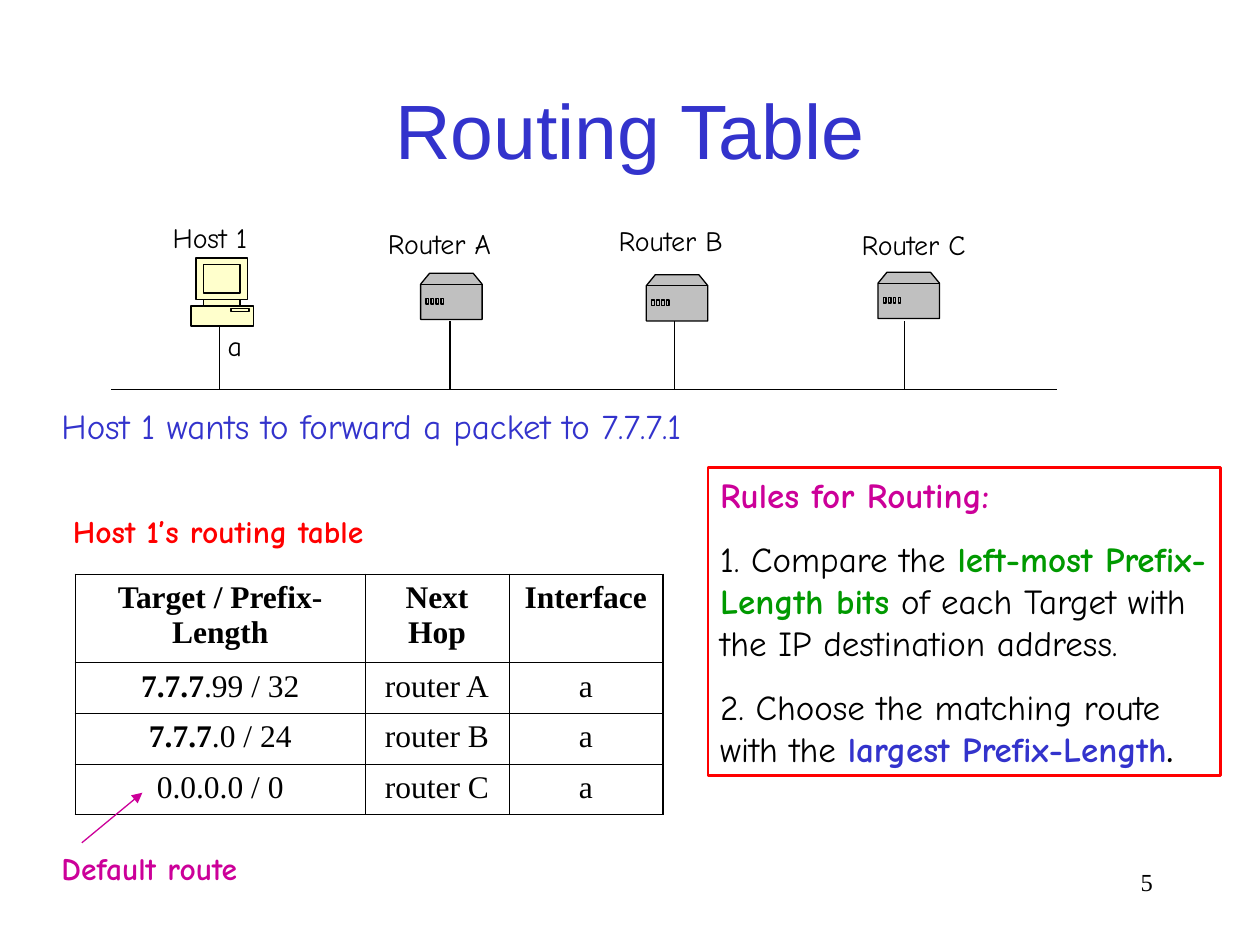
from lxml import etree
from pptx import Presentation
from pptx.dml.color import RGBColor
from pptx.enum.shapes import MSO_CONNECTOR, MSO_SHAPE
from pptx.enum.text import MSO_ANCHOR, PP_ALIGN
from pptx.oxml.ns import qn
from pptx.util import Cm, Pt

STRAIGHT = MSO_CONNECTOR.STRAIGHT
RECTANGLE = MSO_SHAPE.RECTANGLE
TOP, MIDDLE = MSO_ANCHOR.TOP, MSO_ANCHOR.MIDDLE
LEFT, CENTER, RIGHT = PP_ALIGN.LEFT, PP_ALIGN.CENTER, PP_ALIGN.RIGHT

COLORS = {
    "black": "000000", "blue": "3333CC", "red": "FF0000",
    "magenta": "CC0099", "green": "009900",
    "host": "FFFFCC", "router": "C0C0C0",
}
HAND, SERIF, SANS = "Comic Neue", "Times New Roman", "Arial"


def rgb(name):
    return RGBColor.from_string(COLORS[name])


def corners(x, y, width, height):
    return [(x, y), (x, y + height), (x + width, y + height), (x + width, y)]


class SlideBuilder:
    """Holds the style and the current page; lengths are in centimetres."""

    thin = 0.75
    grid_inner, grid_outer = 0.45, 1.08

    def __init__(self, page):
        self.page = page
        self.shapes = page.shapes

    def set_text(self, frame, paragraphs, size, font=HAND, color="black", bold=False,
                 align=LEFT, anchor=TOP, gap=0):
        """Each paragraph is a list of (text, format changes) spans."""
        frame.word_wrap = True
        frame.vertical_anchor = anchor
        for index, spans in enumerate(paragraphs):
            para = frame.paragraphs[0] if index == 0 else frame.add_paragraph()
            para.alignment = align
            if index:
                para.space_before = Pt(gap)
            for text, changes in spans:
                span = para.add_run()
                span.text = text
                values = {"size": Pt(size), "name": font, "bold": bold}
                values.update({k: v for k, v in changes.items() if k != "color"})
                for key, value in values.items():
                    setattr(span.font, key, value)
                span.font.color.rgb = rgb(changes.get("color", color))

    def text(self, text, x, y, width, height, size, **style):
        box = self.shapes.add_textbox(Cm(x), Cm(y), Cm(width), Cm(height))
        self.set_text(box.text_frame, [[(text, {})]], size, **style)

    def panel(self, paragraphs, x, y, width, height, size, border, **style):
        box = self.shapes.add_shape(RECTANGLE, Cm(x), Cm(y), Cm(width), Cm(height))
        box.shadow.inherit = False
        box.fill.background()
        box.line.color.rgb = rgb(border)
        box.line.width = Pt(1.5)
        self.set_text(box.text_frame, paragraphs, size, **style)

    def line(self, x1, y1, x2, y2, color="black", arrow=False):
        link = self.shapes.add_connector(STRAIGHT, Cm(x1), Cm(y1), Cm(x2), Cm(y2))
        link.line.color.rgb = rgb(color)
        link.line.width = Pt(self.thin)
        if arrow:
            outline = link._element.spPr.find(qn("a:ln"))
            etree.SubElement(outline, qn("a:tailEnd"), type="triangle")
        etree.SubElement(link._element.spPr, qn("a:effectLst"))

    def outline(self, x, y, contours, fill):
        """Closed contours, with points relative to (x, y)."""
        builder = None
        for contour in contours:
            points = [(Cm(x + dx), Cm(y + dy)) for dx, dy in contour]
            if builder is None:
                builder = self.shapes.build_freeform(*points[0], scale=1.0)
            else:
                builder.move_to(*points[0])
            builder.add_line_segments(points[1:], close=True)
        shape = builder.convert_to_shape()
        shape.shadow.inherit = False
        shape.fill.solid()
        shape.fill.fore_color.rgb = rgb(fill)
        shape.line.color.rgb = rgb("black")
        shape.line.width = Pt(self.thin)

    def host(self, x, y):
        body = [(0.1, 0), (0.1, 0.84), (0.25, 0.84), (0.25, 0.97), (0, 0.97), (0, 1.37),
                (1.26, 1.37), (1.26, 0.97), (0.99, 0.97), (0.99, 0.84), (1.14, 0.84), (1.14, 0)]
        stand = corners(0.25, 0.84, 0.74, 0.13)
        screen = corners(0.25, 0.13, 0.74, 0.58)
        drive = corners(0.81, 1.02, 0.36, 0.06)
        self.outline(x, y, [body], "host")
        self.outline(x, y, [stand, screen, drive], "host")

    def router(self, x, y):
        width, height, roof = 1.24, 0.93, 0.22
        body = [(0, roof), (0.18, 0), (width - 0.18, 0), (width, roof),
                (width, height), (0, height)]
        lamps = [corners(0.11 + 0.1 * i, 0.51, 0.05, 0.11) for i in range(4)]
        self.outline(x, y, [body], "router")
        self.line(x, y + roof, x + width, y + roof)
        self.outline(x, y, lamps, "router")

    def table(self, rows, x, y, widths, heights, size):
        frame = self.shapes.add_table(len(rows), len(widths), Cm(x), Cm(y),
                                      Cm(sum(widths)), Cm(sum(heights)))
        grid = frame.table
        grid.first_row = grid.horz_banding = False
        for column, width in zip(grid.columns, widths):
            column.width = Cm(width)
        for r, (row, height) in enumerate(zip(rows, heights)):
            grid.rows[r].height = Cm(height)
            for c, spans in enumerate(row):
                cell = grid.cell(r, c)
                self.set_text(cell.text_frame, [spans], size, font=SERIF,
                              bold=r == 0, align=CENTER)
                outer = {"lnL": c == 0, "lnR": c == len(widths) - 1,
                         "lnT": r == 0, "lnB": r == len(rows) - 1}
                self.borders(cell, outer)
                cell.fill.background()

    def borders(self, cell, outer):
        for tag, is_outer in outer.items():
            weight = self.grid_outer if is_outer else self.grid_inner
            edge = etree.SubElement(cell._tc.get_or_add_tcPr(), qn("a:" + tag),
                                    w=str(int(Pt(weight))))
            paint = etree.SubElement(edge, qn("a:solidFill"))
            etree.SubElement(paint, qn("a:srgbClr"), val=COLORS["black"])


def main():
    deck = Presentation()
    deck.slide_width, deck.slide_height = Cm(25.4), Cm(19.05)
    page = SlideBuilder(deck.slides.add_slide(deck.slide_layouts[6]))

    # Title and page number
    page.text("Routing Table", 1.9, 1.7, 21.6, 1.8, 44, font=SANS, color="blue",
              align=CENTER, anchor=MIDDLE)
    page.text("5", 18.21, 17.35, 5.28, 1.27, 14, font=SERIF, align=RIGHT)

    # Network: devices, shared cable and drops
    page.host(3.85, 5.2)
    page.line(2.24, 7.85, 21.31, 7.85)
    page.line(4.42, 6.6, 4.42, 7.85)
    page.text("Host 1", 3.23, 4.32, 2.77, 0.94, 16)
    page.text("a", 4.34, 6.5, 0.91, 0.94, 16)
    routers = [  # name, device x and y, drop x, label x and y
        ("Router A", 8.48, 5.51, 9.07, 7.57, 4.45),
        ("Router B", 13.03, 5.54, 13.59, 12.22, 4.39),
        ("Router C", 17.7, 5.49, 18.24, 17.12, 4.47),
    ]
    for name, x, y, drop, label_x, label_y in routers:
        page.router(x, y)
        page.line(drop, 6.48, drop, 7.85)
        page.text(name, label_x, label_y, 3.07, 0.94, 16)

    # Routing table of the host
    page.text("Host 1 wants to forward a packet to 7.7.7.1", 0.99, 8.03, 15.34, 1.12, 20,
              color="blue")
    page.text("Host 1’s routing table", 1.22, 10.19, 9.12, 1.02, 18, color="red", bold=True)
    match = ("7.7.7", {"bold": True})
    targets = [[match, (".99 / 32", {})], [match, (".0 / 24", {})], [("0.0.0.0 / 0", {})]]
    rows = [[[(head, {})] for head in ("Target / Prefix-Length", "Next Hop", "Interface")]]
    for target, letter in zip(targets, "ABC"):
        rows.append([target, [("router " + letter, {})], [("a", {})]])
    page.table(rows, 1.52, 11.58, [5.84, 2.9, 3.1], [1.78, 1.02, 1.02, 1.02], 18)

    # Rules
    rules = [
        [("Rules for Routing:", {"color": "magenta", "bold": True})],
        [("1. Compare the ", {}),
         ("left-most Prefix-Length bits", {"color": "green", "bold": True}),
         (" of each Target with the IP destination address.", {})],
        [("2. Choose the matching route with the ", {}),
         ("largest Prefix-Length", {"color": "blue", "bold": True}),
         (".", {"bold": True})],
    ]
    page.panel(rules, 14.27, 9.42, 10.34, 6.22, 20, "red", gap=12.5)

    # Default route callout
    page.line(1.65, 16.99, 2.87, 15.98, color="magenta", arrow=True)
    page.text("Default route", 0.99, 16.99, 5.64, 1.02, 18, color="magenta", bold=True)

    deck.save("out.pptx")


if __name__ == "__main__":
    main()
